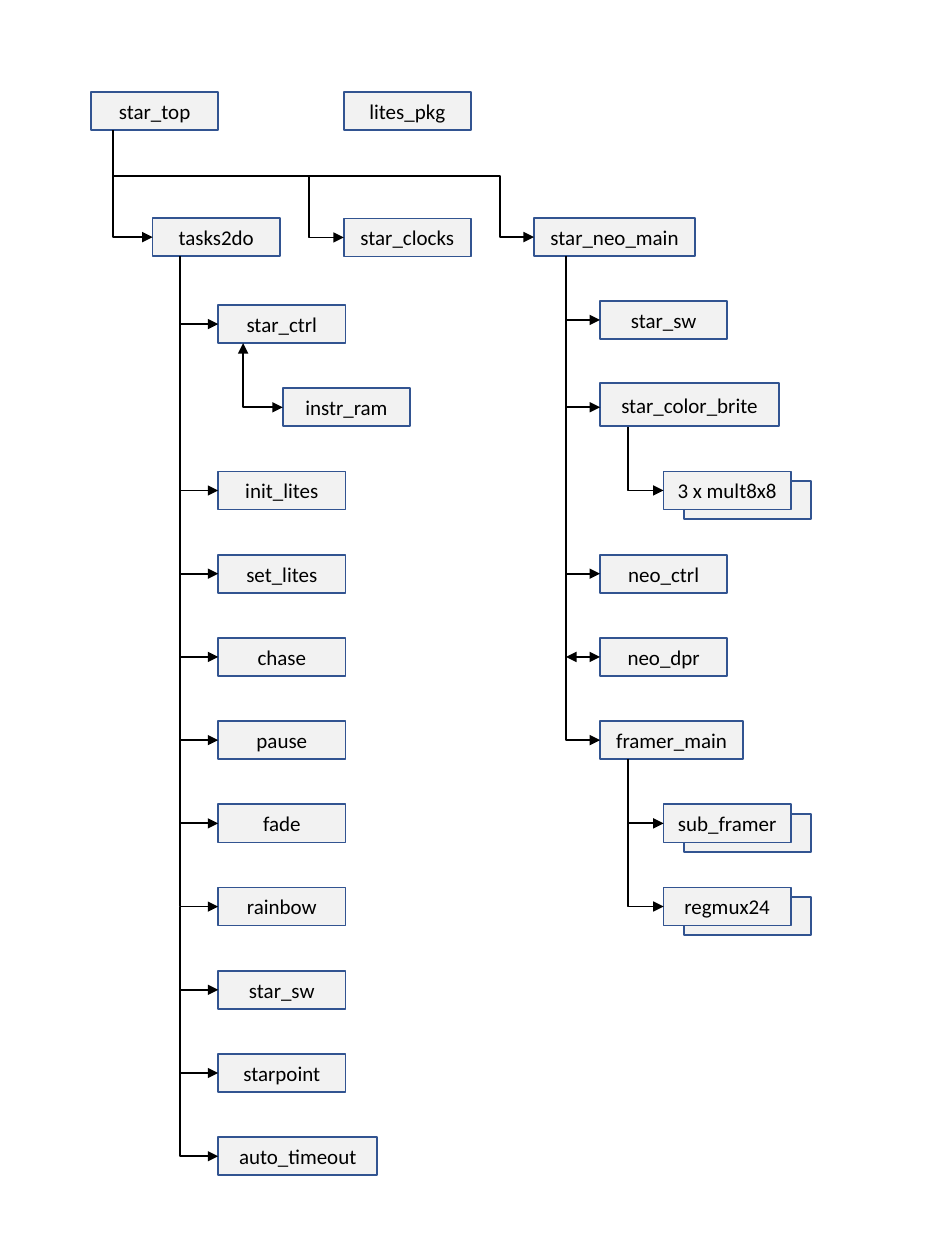
import pptx
import pptx.dml.color
import pptx.enum.shapes
import pptx.enum.text
import pptx.oxml
import pptx.oxml.ns
import pptx.util
from dataclasses import dataclass

Pt = pptx.util.Pt


@dataclass(frozen=True)
class Theme:
    """Colours, type and line sizes."""
    fill: str = "F2F2F2"
    border: str = "325491"
    ink: str = "000000"
    font: str = "Calibri"
    text_size: float = 12
    line_width: float = 1


THEME = Theme()
WIDTH, HEIGHT = 72.7, 21.8
FIRST_ROW, ROW_STEP = 174.3, 47.55
STACK_OFFSET = (11.7, 5.4)
BUS_Y = 100.8

# name: left, top and, where it differs, width
TOP_MODULES = {
    "star_top": (52, 52.5, WIDTH),
    "lites_pkg": (196.4, 52.5, WIDTH),
    "tasks2do": (87.2, 124.6, WIDTH),
    "star_clocks": (196.4, 124.8, WIDTH),
    "star_neo_main": (305.1, 124.6, 92.3),
}

# Each branch hangs from a trunk; children are (name, row, options).
# An "elbow" child ends a stretch of trunk, the others join it with an arrow.
BRANCHES = [
    {"trunk": 103, "start": 146.4, "left": 124.7, "children": [
        ("star_ctrl", 0, {}),
        ("init_lites", 2, {}),
        ("set_lites", 3, {}),
        ("chase", 4, {}),
        ("pause", 5, {}),
        ("fade", 6, {}),
        ("rainbow", 7, {"elbow": True}),
        ("star_sw", 8, {}),
        ("starpoint", 9, {"elbow": True}),
        ("auto_timeout", 10, {"elbow": True, "width": 90.9}),
    ]},
    {"trunk": 138.9, "start": 196.1, "left": 161.6, "children": [
        ("instr_ram", 1, {"elbow": True, "both_ends": True}),
    ]},
    {"trunk": 323.5, "start": 146.4, "left": 342.9, "children": [
        ("star_sw", -0.05, {}),
        ("star_color_brite", 1, {"width": 102.2, "height": 24.6, "shift": -1.4}),
        ("neo_ctrl", 3, {}),
        ("neo_dpr", 4, {"both_ends": True}),
        ("framer_main", 5, {"elbow": True, "width": 81.8}),
    ]},
    {"trunk": 358.8, "start": 243.9, "left": 379.2, "children": [
        ("3 x mult8x8", 2, {"elbow": True, "stacked": True}),
    ]},
    {"trunk": 358.8, "start": 433.8, "left": 379.2, "children": [
        ("sub_framer", 6, {"stacked": True}),
        ("regmux24", 7, {"elbow": True, "stacked": True}),
    ]},
]


def colour(value):
    """Turn a hex string into a colour."""
    return pptx.dml.color.RGBColor.from_string(value)


def add_module(slide, name, left, top, width=WIDTH, height=HEIGHT):
    """Add a module box, labelled when it has a name."""
    shape = slide.shapes.add_shape(pptx.enum.shapes.MSO_SHAPE.RECTANGLE,
                                   Pt(left), Pt(top), Pt(width), Pt(height))
    shape.shadow.inherit = False
    shape.fill.solid()
    shape.fill.fore_color.rgb = colour(THEME.fill)
    shape.line.color.rgb = colour(THEME.border)
    shape.line.width = Pt(THEME.line_width)
    if name:
        frame = shape.text_frame
        frame.word_wrap = False
        frame.vertical_anchor = pptx.enum.text.MSO_ANCHOR.MIDDLE
        paragraph = frame.paragraphs[0]
        paragraph.alignment = pptx.enum.text.PP_ALIGN.CENTER
        run = paragraph.add_run()
        run.text = name
        run.font.name = THEME.font
        run.font.size = Pt(THEME.text_size)
        run.font.color.rgb = colour(THEME.ink)


def add_arrow(slide, kind, begin, end, both_ends=False):
    """Add a connector with an arrowhead at its end, or at both ends."""
    connector = slide.shapes.add_connector(kind, *map(Pt, begin + end))
    connector.line.color.rgb = colour(THEME.ink)
    connector.line.width = Pt(THEME.line_width)
    line = connector.line._get_or_add_ln()
    for tag in ("a:headEnd", "a:tailEnd") if both_ends else ("a:tailEnd",):
        pptx.oxml.ns.qn(tag)
        line.append(pptx.oxml.parse_xml(
            f'<{tag} {pptx.oxml.ns.nsdecls("a")} type="triangle"/>'))
    connector._element.spPr.append(pptx.oxml.parse_xml(
        f'<a:effectLst {pptx.oxml.ns.nsdecls("a")}/>'))
    return connector


def add_straight(slide, begin, end, both_ends=False):
    """Add a straight arrow."""
    add_arrow(slide, pptx.enum.shapes.MSO_CONNECTOR.STRAIGHT, begin, end, both_ends)


def add_elbow(slide, begin, end, both_ends=False):
    """Add an arrow that runs down, then right: a mirrored bend turned by 270 degrees."""
    middle_x, middle_y = (begin[0] + end[0]) / 2, (begin[1] + end[1]) / 2
    across, down = (end[0] - begin[0]) / 2, (end[1] - begin[1]) / 2
    connector = add_arrow(slide, pptx.enum.shapes.MSO_CONNECTOR.ELBOW,
                          (middle_x + down, middle_y - across),
                          (middle_x - down, middle_y + across), both_ends)
    properties = connector._element.spPr
    properties.find(pptx.oxml.ns.qn("a:xfrm")).set("rot", "16200000")
    properties.find(pptx.oxml.ns.qn("a:prstGeom")).set("prst", "bentConnector2")


def add_bus(slide, begin, end, bend):
    """Add an arrow that runs right, down and right, turning at the given share."""
    connector = add_arrow(slide, pptx.enum.shapes.MSO_CONNECTOR.ELBOW, begin, end)
    geometry = connector._element.spPr.find(pptx.oxml.ns.qn("a:prstGeom"))
    for child in list(geometry):
        geometry.remove(child)
    geometry.append(pptx.oxml.parse_xml(
        f'<a:avLst {pptx.oxml.ns.nsdecls("a")}>'
        f'<a:gd name="adj1" fmla="val {round(bend * 100000)}"/></a:avLst>'))


def add_top(slide):
    """Add the top modules and the arrows between them."""
    for name, (left, top, width) in TOP_MODULES.items():
        add_module(slide, name, left, top, width)
    entry = {name: (left, top + HEIGHT / 2)
             for name, (left, top, width) in TOP_MODULES.items()}
    trunk = 64.8
    add_elbow(slide, (trunk, TOP_MODULES["star_top"][1] + HEIGHT), entry["tasks2do"])
    add_elbow(slide, (176.6, BUS_Y), entry["star_clocks"])
    add_bus(slide, (trunk, BUS_Y), entry["star_neo_main"], 0.92)


def add_branch(slide, branch):
    """Add a trunk with its child modules."""
    trunk, left, start = branch["trunk"], branch["left"], branch["start"]
    for name, row, options in branch["children"]:
        top = FIRST_ROW + row * ROW_STEP
        middle = top + HEIGHT / 2
        height = options.get("height", HEIGHT)
        box_top = middle - height / 2 + options.get("shift", 0)
        if options.get("stacked"):
            add_module(slide, "", left + STACK_OFFSET[0], top + STACK_OFFSET[1])
        add_module(slide, name, left, box_top, options.get("width", WIDTH), height)
        both_ends = options.get("both_ends", False)
        if options.get("elbow"):
            add_elbow(slide, (trunk, start), (left, middle), both_ends)
            start = middle
        else:
            add_straight(slide, (trunk, middle), (left, middle), both_ends)


def main():
    """Build the module hierarchy."""
    presentation = pptx.Presentation()
    presentation.slide_width, presentation.slide_height = Pt(540), Pt(720)
    slide = presentation.slides.add_slide(presentation.slide_layouts[6])
    add_top(slide)
    for branch in BRANCHES:
        add_branch(slide, branch)
    presentation.save("out.pptx")


main()
